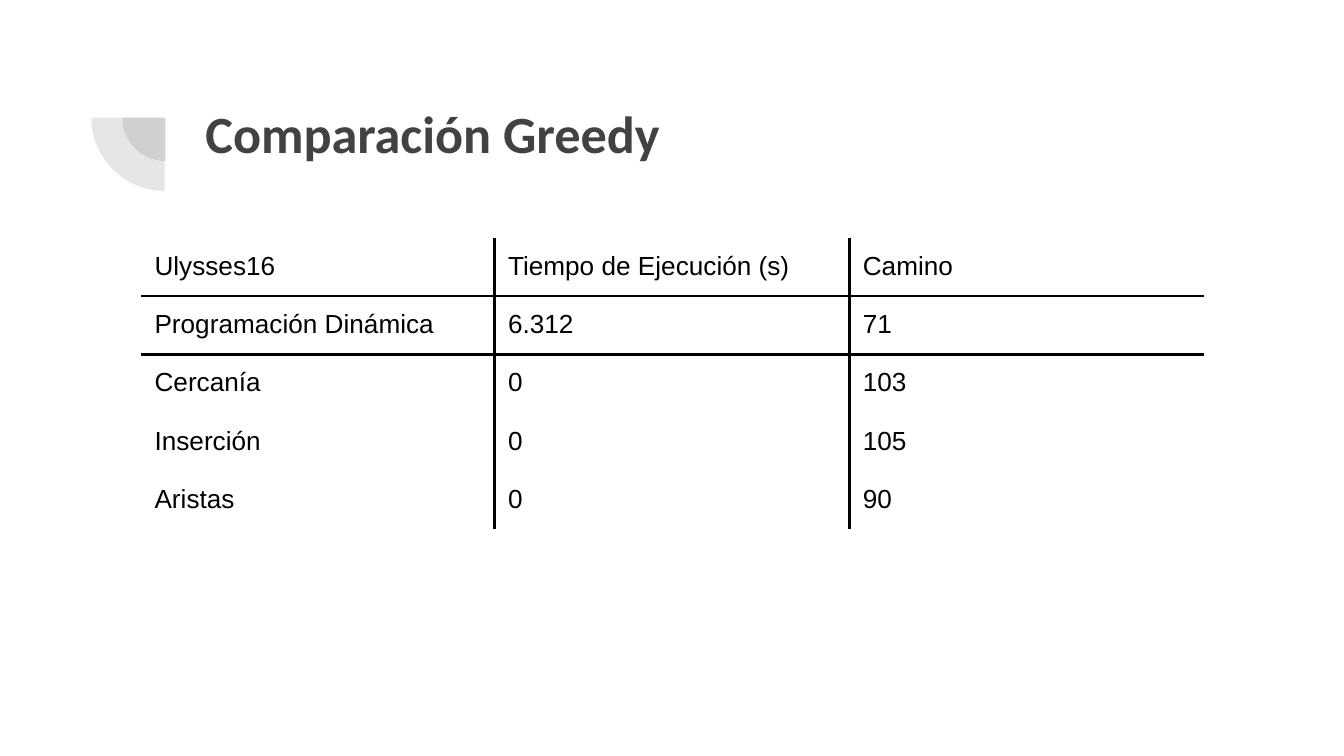
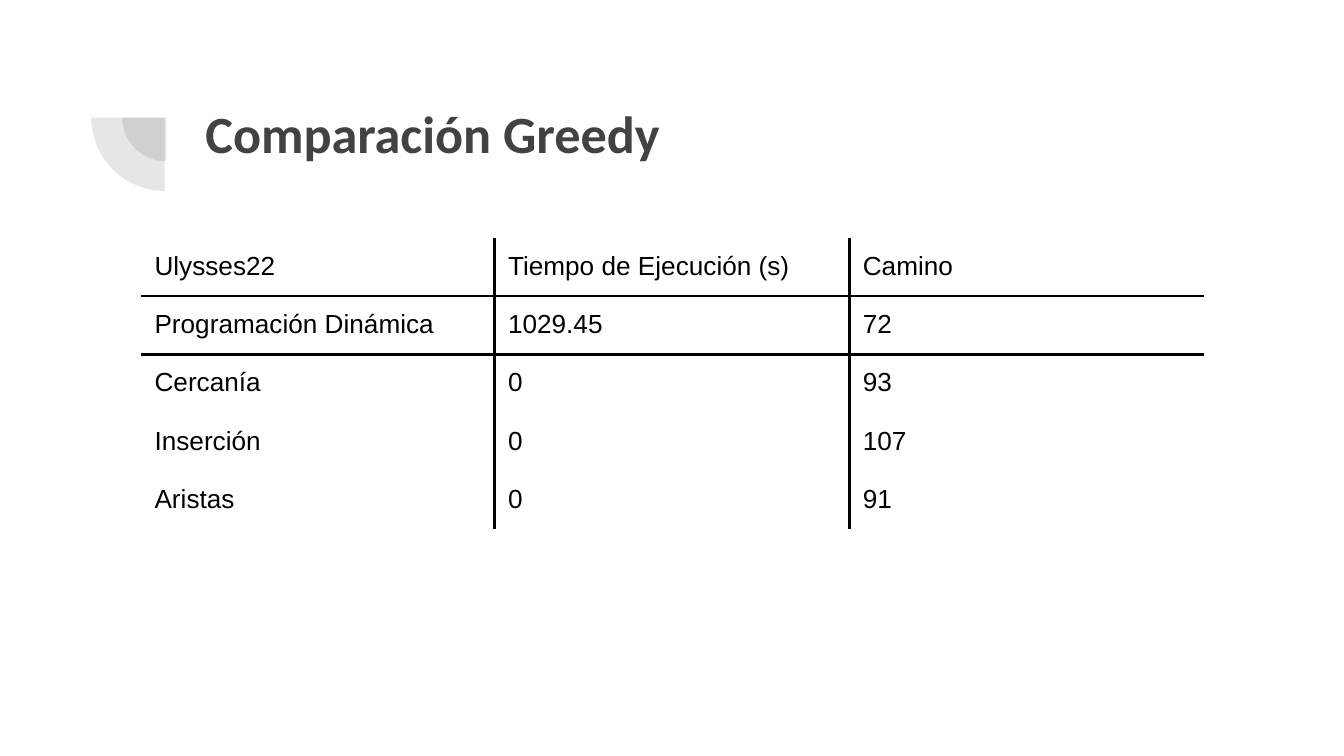
from lxml.etree import SubElement
from pptx import Presentation
from pptx.dml.color import RGBColor
from pptx.enum.shapes import MSO_SHAPE as Shape
from pptx.oxml import parse_xml
from pptx.oxml.ns import nsdecls, qn
from pptx.util import Inches, Pt

TITLE = "Comparación Greedy"
MEASURES = ["Tiempo de Ejecución (s)", "Camino"]
METHODS = ["Programación Dinámica", "Cercanía", "Inserción", "Aristas"]
RESULTS = {
    "Ulysses16": [("6.312", "71"), ("0", "103"), ("0", "105"), ("0", "90")],
    "Ulysses22": [("1029.45", "72"), ("0", "93"), ("0", "107"), ("0", "91")],
}

WIDTH = 10
HEIGHT = WIDTH * 9 / 16
GRAY, BLACK = "424242", "000000"
PIES = [(0.91, 0.55, 0.65), (0.68, 0.33, 1.09)]
PIE_OPACITY = 13
TITLE_BOX = (1.43, 0.65, 7.69, 1.09)
TABLE_LEFT, TABLE_TOP = 1.05, 1.77
COLUMN_WIDTHS = [2.63, 2.64, 2.64]
ROW_HEIGHT = 0.42
INSET = 0.1
RULE_WIDTH = 1.5
PLAIN_TABLE_STYLE = "{2D5ABB26-0587-4C30-8999-92F81FD0307C}"


def color(value):
    return RGBColor.from_string(value)


def inches(*lengths):
    return [Inches(length) for length in lengths]


def set_insets(target):
    target.margin_left = target.margin_right = Inches(INSET)
    target.margin_top = target.margin_bottom = Inches(INSET)


def write(text_frame, text, font_name, size, font_color, bold=False):
    text_frame.text = text
    font = text_frame.paragraphs[0].runs[0].font
    font.name, font.size, font.bold = font_name, Pt(size), bold
    font.color.rgb = color(font_color)


def add_pies(slide):
    for left, top, size in PIES:
        pie = slide.shapes.add_shape(Shape.PIE, *inches(left, top, size, size))
        pie.adjustments[0], pie.adjustments[1] = 108, 162
        pie.rotation = 270
        pie.shadow.inherit = False
        pie.line.fill.background()
        pie.fill.solid()
        pie.fill.fore_color.rgb = color(GRAY)
        fill_color = pie.fill._xPr.find(qn("a:solidFill"))[0]
        SubElement(fill_color, qn("a:alpha"), val=str(PIE_OPACITY * 1000))


def add_title(slide):
    text_frame = slide.shapes.add_textbox(*inches(*TITLE_BOX)).text_frame
    text_frame.word_wrap = True
    set_insets(text_frame)
    write(text_frame, TITLE, "Calibri", 28, GRAY, bold=True)


def set_borders(cell, sides):
    properties = cell._tc.get_or_add_tcPr()
    for index, side in enumerate(sides):
        border = parse_xml(
            f'<a:ln{side} {nsdecls("a")} w="{Pt(RULE_WIDTH)}">'
            f'<a:solidFill><a:srgbClr val="{BLACK}"/></a:solidFill></a:ln{side}>')
        properties.insert(index, border)


def add_results(slide, instance, results):
    rows = [(instance, *MEASURES)]
    rows += [(method, *values) for method, values in zip(METHODS, results)]
    last_column = len(COLUMN_WIDTHS) - 1
    table = slide.shapes.add_table(
        len(rows), len(COLUMN_WIDTHS),
        *inches(TABLE_LEFT, TABLE_TOP, sum(COLUMN_WIDTHS), ROW_HEIGHT * len(rows))).table
    table.first_row = table.horz_banding = False
    table._tbl.tblPr.find(qn("a:tableStyleId")).text = PLAIN_TABLE_STYLE
    for column, width in zip(table.columns, COLUMN_WIDTHS):
        column.width = Inches(width)
    for row_index, texts in enumerate(rows):
        table.rows[row_index].height = Inches(ROW_HEIGHT)
        for column_index, text in enumerate(texts):
            cell = table.cell(row_index, column_index)
            set_insets(cell)
            cell.fill.background()
            write(cell.text_frame, text, "Arial", 14, BLACK)
            sides = "L" if column_index > 0 else ""
            sides += "R" if column_index < last_column else ""
            sides += {0: "B", 1: "T"}.get(row_index, "")
            set_borders(cell, sides)


def main():
    presentation = Presentation()
    presentation.slide_width, presentation.slide_height = inches(WIDTH, HEIGHT)
    for instance, results in RESULTS.items():
        slide = presentation.slides.add_slide(presentation.slide_layouts[6])
        add_pies(slide)
        add_title(slide)
        add_results(slide, instance, results)
    presentation.save("out.pptx")


if __name__ == "__main__":
    main()
